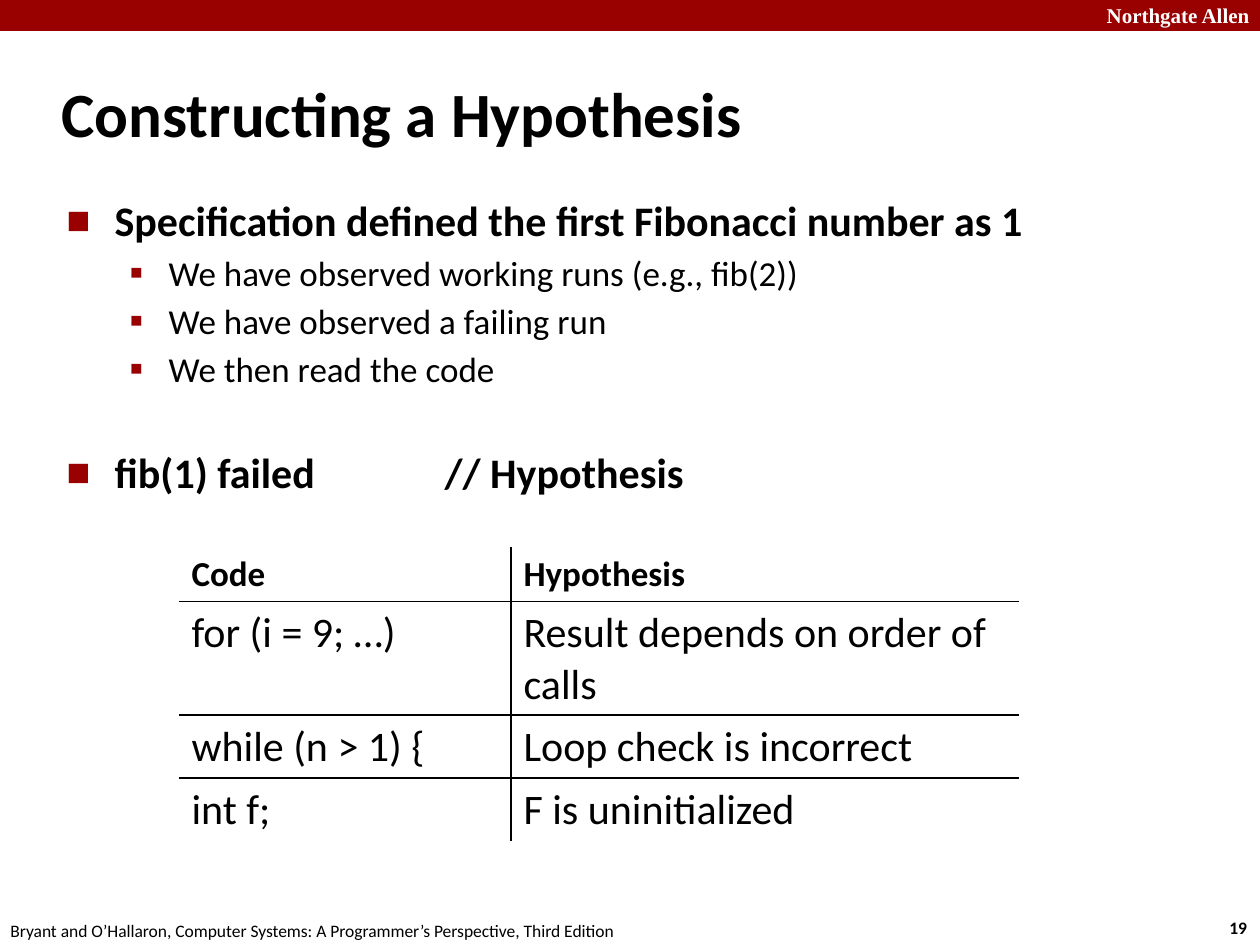
from lxml import etree
from pptx import Presentation
from pptx import util as u
from pptx.dml.color import RGBColor
from pptx.enum import shapes, text
from pptx.oxml.ns import qn

EMU_PER_PX = 914400 // 126
COLORS = {"red": "990000", "white": "FFFFFF", "black": "000000"}
TITLE = {"name": "Calibri", "size": u.Pt(36), "bold": True}
POINT = {"name": "Calibri", "size": u.Pt(24), "bold": True}
SUBPOINT = {"name": "Calibri", "size": u.Pt(20), "bold": False}
HEADING = {"name": "Calibri", "size": u.Pt(20), "bold": True}
CELL = {"name": "Calibri", "size": u.Pt(24), "bold": False}
BANNER = {"name": "Times New Roman", "size": u.Pt(12), "bold": True}
NUMBER = {"name": "Calibri", "size": u.Pt(10), "bold": True}
CREDIT = {"name": "Calibri", "size": u.Pt(10), "bold": False}

# Level, space before in points, wording
POINTS = [
    (0, 4.8, "Specification defined the first Fibonacci number as 1"),
    (1, 3.6, "We have observed working runs (e.g., fib(2))"),
    (1, 3.6, "We have observed a failing run"),
    (1, 3.6, "We then read the code"),
    (0, 32.5, "fib(1) failed\t\t// Hypothesis"),
]
# Format, bullet character, bullet size in %, left margin and hanging indent in px
LEVELS = [(POINT, "■", 60, 48, 48), (SUBPOINT, "▪", 110, 102, 39)]
HYPOTHESES = [
    ("Code", "Hypothesis"),
    ("for (i = 9; …)", "Result depends on order of calls"),
    ("while (n > 1) {", "Loop check is incorrect"),
    ("int f;", "F is uninitialized"),
]


def px(length):
    return u.Emu(length * EMU_PER_PX)


def rgb(color):
    return RGBColor.from_string(COLORS[color])


def place(part, left, top, width, height):
    part.left, part.top, part.width, part.height = map(px, (left, top, width, height))


def write(paragraph, wording, style, color="black"):
    run = paragraph.add_run()
    run.text = wording
    for attribute, value in style.items():
        setattr(run.font, attribute, value)
    run.font.color.rgb = rgb(color)


def add_label(slide, box, wording, style, color="black", align=text.PP_ALIGN.LEFT, wrap=False):
    label = slide.shapes.add_textbox(*map(px, box)).text_frame
    label.word_wrap = wrap
    label.paragraphs[0].alignment = align
    write(label.paragraphs[0], wording, style, color)


def add_child(parent, tag, **attributes):
    return etree.SubElement(parent, qn(tag), attributes)


def format_bullet(paragraph, bullet, percent, margin, hanging):
    properties = paragraph._p.get_or_add_pPr()
    properties.set("marL", str(px(margin)))
    properties.set("indent", str(-px(hanging)))
    add_child(add_child(properties, "a:buClr"), "a:srgbClr", val=COLORS["red"])
    add_child(properties, "a:buSzPct", val=str(percent * 1000))
    add_child(properties, "a:buFont", typeface="Calibri")
    add_child(properties, "a:buChar", char=bullet)
    # Tab stops at every inch past the text margin
    stops = add_child(properties, "a:tabLst")
    for inch in (1, 2, 3):
        add_child(stops, "a:tab", pos=str(u.Inches(inch)), algn="l")


def fill_points(body):
    frame = body.text_frame
    frame.auto_size = text.MSO_AUTO_SIZE.NONE
    for index, (level, gap, wording) in enumerate(POINTS):
        paragraph = frame.add_paragraph() if index else frame.paragraphs[0]
        style, *bullet = LEVELS[level]
        paragraph.level = level
        paragraph.space_before = u.Pt(gap)
        format_bullet(paragraph, *bullet)
        write(paragraph, wording, style)


def set_borders(cell, visible):
    properties = cell._tc.get_or_add_tcPr()
    for index, side in enumerate("LRTB"):
        line = etree.Element(qn(f"a:ln{side}"), w=str(u.Pt(1)))
        if side in visible:
            add_child(add_child(line, "a:solidFill"), "a:srgbClr", val=COLORS["black"])
        else:
            add_child(line, "a:noFill")
        properties.insert(index, line)


def add_hypothesis_table(slide):
    last = len(HYPOTHESES) - 1
    table = slide.shapes.add_table(last + 1, 2, px(179), px(547), px(840), px(208)).table
    table.first_row = table.horz_banding = False
    for column, width in zip(table.columns, (332, 508)):
        column.width = px(width)
    for row, wordings in enumerate(HYPOTHESES):
        for column, wording in enumerate(wordings):
            cell = table.cell(row, column)
            cell.fill.solid()
            cell.fill.fore_color.rgb = rgb("white")
            # Only inner lines are drawn
            inner = ("L" if column else "R") + "T" * (row > 0) + "B" * (row < last)
            set_borders(cell, inner)
            write(cell.text_frame.paragraphs[0], wording, CELL if row else HEADING)


def add_frame(slide):
    band = slide.shapes.add_shape(shapes.MSO_SHAPE.RECTANGLE, 0, 0, px(1260), px(31))
    band.shadow.inherit = False
    band.fill.solid()
    band.fill.fore_color.rgb = rgb("red")
    band.line.fill.background()
    right = text.PP_ALIGN.RIGHT
    add_label(slide, (1082, -4, 180, 38), "Northgate Allen", BANNER, "white", right, True)
    add_label(slide, (1217, 911, 47, 34), "19", NUMBER)
    add_label(slide, (-2, 914, 640, 34),
              "Bryant and O’Hallaron, Computer Systems: A Programmer’s Perspective, Third Edition",
              CREDIT)


def main():
    deck = Presentation()
    deck.slide_width, deck.slide_height = px(1260), px(945)
    slide = deck.slides.add_slide(deck.slide_layouts[1])
    title, body = slide.placeholders

    # Banner and footer
    add_frame(slide)

    # Title and list
    place(title, 49, 60, 1046, 105)
    title.text_frame.vertical_anchor = text.MSO_ANCHOR.MIDDLE
    title.text_frame.paragraphs[0].alignment = text.PP_ALIGN.LEFT
    write(title.text_frame.paragraphs[0], "Constructing a Hypothesis", TITLE)
    place(body, 54, 188, 1089, 685)
    fill_points(body)

    # Code and hypotheses
    add_hypothesis_table(slide)
    deck.save("out.pptx")


if __name__ == "__main__":
    main()
